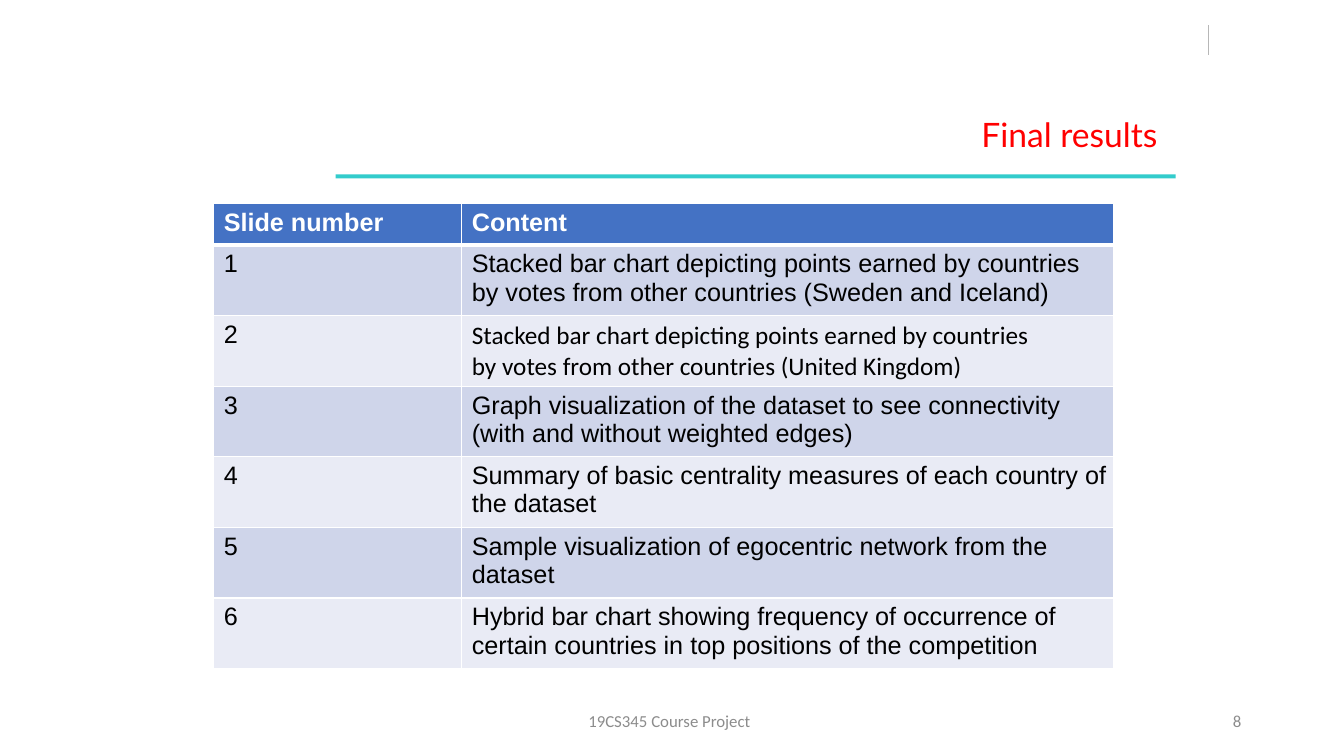
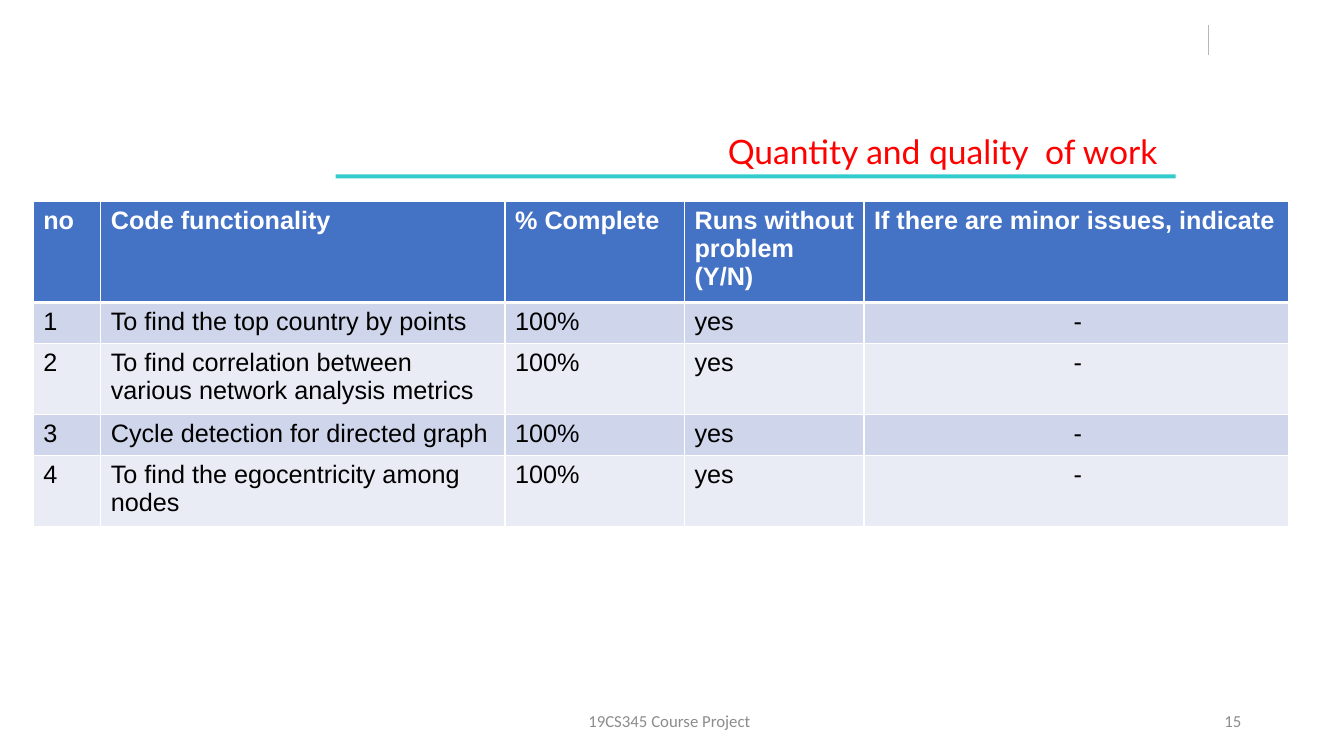
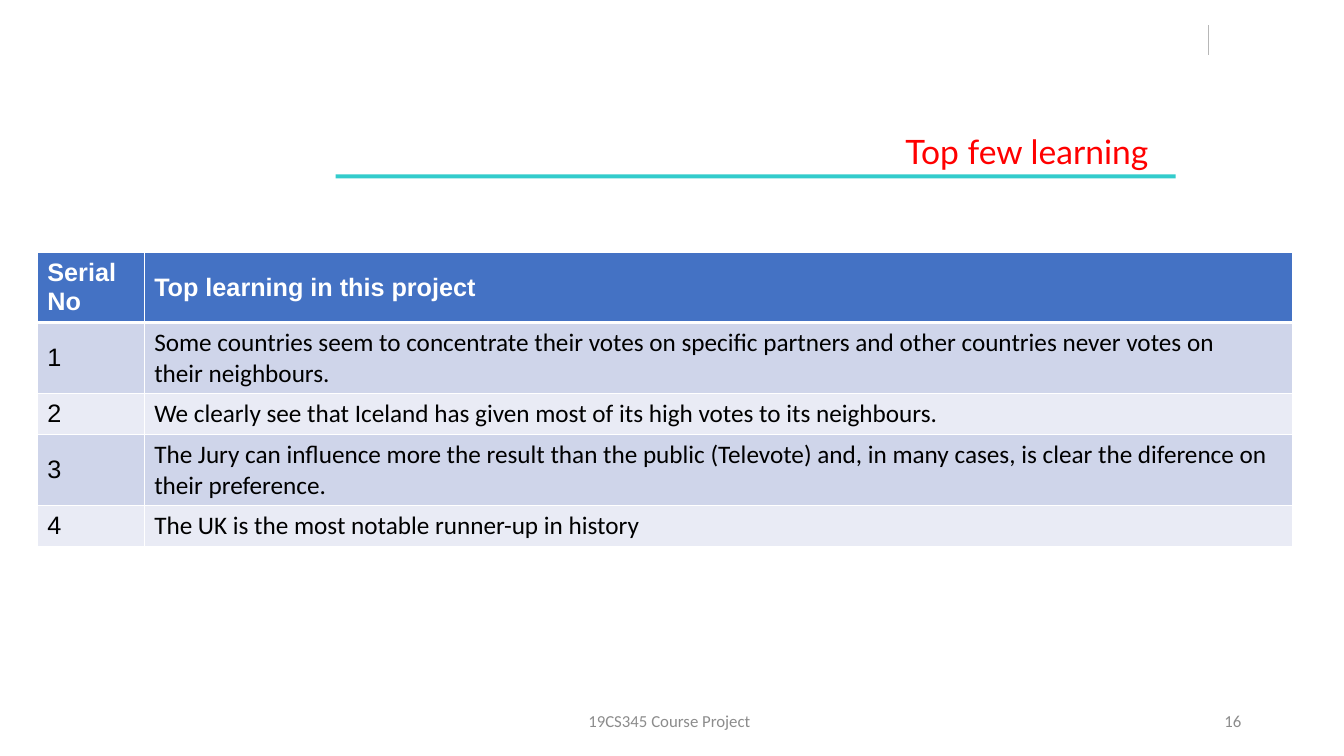
"""Build three course project slides, each with a titled table."""
from lxml import etree
from pptx import Presentation
from pptx import util as u
from pptx.dml.color import RGBColor
from pptx.enum import shapes, text
from pptx.oxml.ns import qn

PX = 9144
COLORS = {
    "title": "FF0000", "rule": "33CCCC", "tick": "B7B7B7", "footer": "8C8C8C",
    "head": "4472C4", "odd": "CFD5EA", "even": "E9EBF5",
    "white": "FFFFFF", "black": "000000",
}
ROW_HEIGHT = 41
CELL_INSET_RIGHT = 7
FOOTER = "19CS345 Course Project"

PAGES = [
    {
        "title": "Final results", "title_box": (317, 108, 858, 50), "title_inset": 27,
        "number": "8", "corner": (212, 202), "columns": [246, 647],
        "anchor": text.MSO_ANCHOR.TOP, "calibri": {(2, 1)}, "centered": set(),
        "rows": [
            ("Slide number", "Content"),
            ("1", "Stacked bar chart depicting points earned by countries by votes from other countries (Sweden and Iceland)"),
            ("2", "Stacked bar chart depicting points earned by countries\vby votes from other countries (United Kingdom)"),
            ("3", "Graph visualization of the dataset to see connectivity (with and without weighted edges)"),
            ("4", "Summary of basic centrality measures of each country of the dataset"),
            ("5", "Sample visualization of egocentric network from the dataset"),
            ("6", "Hybrid bar chart showing frequency of occurrence of certain countries in top positions of the competition"),
        ],
    },
    {
        "title": "Quantity and quality  of work", "title_box": (317, 125, 850, 50), "title_inset": 19,
        "number": "15", "corner": (33, 200), "columns": [67, 401, 178, 178, 421],
        "anchor": text.MSO_ANCHOR.TOP, "calibri": set(),
        "centered": {(row, 4) for row in range(1, 5)},
        "rows": [
            ("no", "Code functionality", "% Complete", "Runs without\vproblem\v(Y/N)", "If there are minor issues, indicate"),
            ("1", "To find the top country by points", "100%", "yes", "-"),
            ("2", "To find correlation between various network analysis metrics", "100%", "yes", "-"),
            ("3", "Cycle detection for directed graph", "100%", "yes", "-"),
            ("4", "To find the egocentricity among nodes", "100%", "yes", "-"),
        ],
    },
    {
        "title": "Top few learning", "title_box": (317, 125, 850, 50), "title_inset": 28,
        "number": "16", "corner": (37, 250), "columns": [106, 1139],
        "anchor": text.MSO_ANCHOR.MIDDLE, "calibri": {(row, 1) for row in range(1, 5)},
        "centered": set(),
        "rows": [
            ("Serial\nNo", "Top learning in this project"),
            ("1", "Some countries seem to concentrate their votes on specific partners and other countries never votes on\vtheir neighbours."),
            ("2", "We clearly see that Iceland has given most of its high votes to its neighbours."),
            ("3", "The Jury can influence more the result than the public (Televote) and, in many cases, is clear the diference on their preference."),
            ("4", "The UK is the most notable runner-up in history"),
        ],
    },
]


def style(frame, font, size, color, align, bold=False):
    """Format every paragraph of a text frame alike."""
    for para in frame.paragraphs:
        para.alignment = align
        para.font.name = font
        para.font.size = u.Pt(size)
        para.font.bold = bold
        para.font.color.rgb = RGBColor.from_string(COLORS[color])


def add_border(cell, side, points):
    """Draw one white edge of a table cell."""
    edge = etree.SubElement(cell._tc.get_or_add_tcPr(), qn(f"a:{side}"), w=str(u.Pt(points)))
    fill = etree.SubElement(edge, qn("a:solidFill"))
    etree.SubElement(fill, qn("a:srgbClr"), val=COLORS["white"])


deck = Presentation()
deck.slide_width = 1333 * PX
deck.slide_height = 750 * PX

for content in PAGES:
    page = deck.slides.add_slide(deck.slide_layouts[5])

    tick = page.shapes.add_connector(
        shapes.MSO_CONNECTOR.STRAIGHT, 1199 * PX, 25 * PX, 1199 * PX, 55 * PX)
    tick.line.color.rgb = RGBColor.from_string(COLORS["tick"])
    tick.line.width = u.Pt(0.75)
    etree.SubElement(tick._element.spPr, qn("a:effectLst"))

    rule = page.shapes.add_shape(
        shapes.MSO_SHAPE.RECTANGLE, 333 * PX, 173 * PX, 833 * PX, 4 * PX)
    rule.shadow.inherit = False
    rule.fill.solid()
    rule.fill.fore_color.rgb = RGBColor.from_string(COLORS["rule"])
    rule.line.fill.background()

    title = page.shapes.title
    title.left, title.top, title.width, title.height = [n * PX for n in content["title_box"]]
    frame = title.text_frame
    frame.text = content["title"]
    frame.auto_size = text.MSO_AUTO_SIZE.NONE
    frame.vertical_anchor = text.MSO_ANCHOR.TOP
    frame.margin_right = content["title_inset"] * PX
    style(frame, "Lato", 24, "title", text.PP_ALIGN.RIGHT)

    for words, left, width, align in [
        (FOOTER, 439, 450, text.PP_ALIGN.CENTER),
        (content["number"], 941, 300, text.PP_ALIGN.RIGHT),
    ]:
        box = page.shapes.add_textbox(left * PX, 695 * PX, width * PX, 40 * PX)
        box.text_frame.word_wrap = True
        box.text_frame.text = words
        box.text_frame.vertical_anchor = text.MSO_ANCHOR.MIDDLE
        style(box.text_frame, "Calibri", 12, "footer", align)

    rows, columns = content["rows"], content["columns"]
    left, top = content["corner"]
    table = page.shapes.add_table(
        len(rows), len(columns), left * PX, top * PX,
        sum(columns) * PX, len(rows) * ROW_HEIGHT * PX).table
    for column, width in zip(table.columns, columns):
        column.width = width * PX

    for r, row in enumerate(rows):
        table.rows[r].height = ROW_HEIGHT * PX
        band = "head" if r == 0 else ("odd" if r % 2 else "even")
        for c, words in enumerate(row):
            cell = table.cell(r, c)
            cell.text = words
            cell.vertical_anchor = content["anchor"]
            cell.margin_right = CELL_INSET_RIGHT * PX
            for side in ("lnL", "lnR", "lnT", "lnB"):
                under_head = (r, side) in {(0, "lnB"), (1, "lnT")}
                add_border(cell, side, 3 if under_head else 1)
            cell.fill.solid()
            cell.fill.fore_color.rgb = RGBColor.from_string(COLORS[band])
            style(
                cell.text_frame,
                "Calibri" if (r, c) in content["calibri"] else "Arial",
                18,
                "white" if r == 0 else "black",
                text.PP_ALIGN.CENTER if (r, c) in content["centered"] else text.PP_ALIGN.LEFT,
                bold=r == 0)

deck.save("out.pptx")
